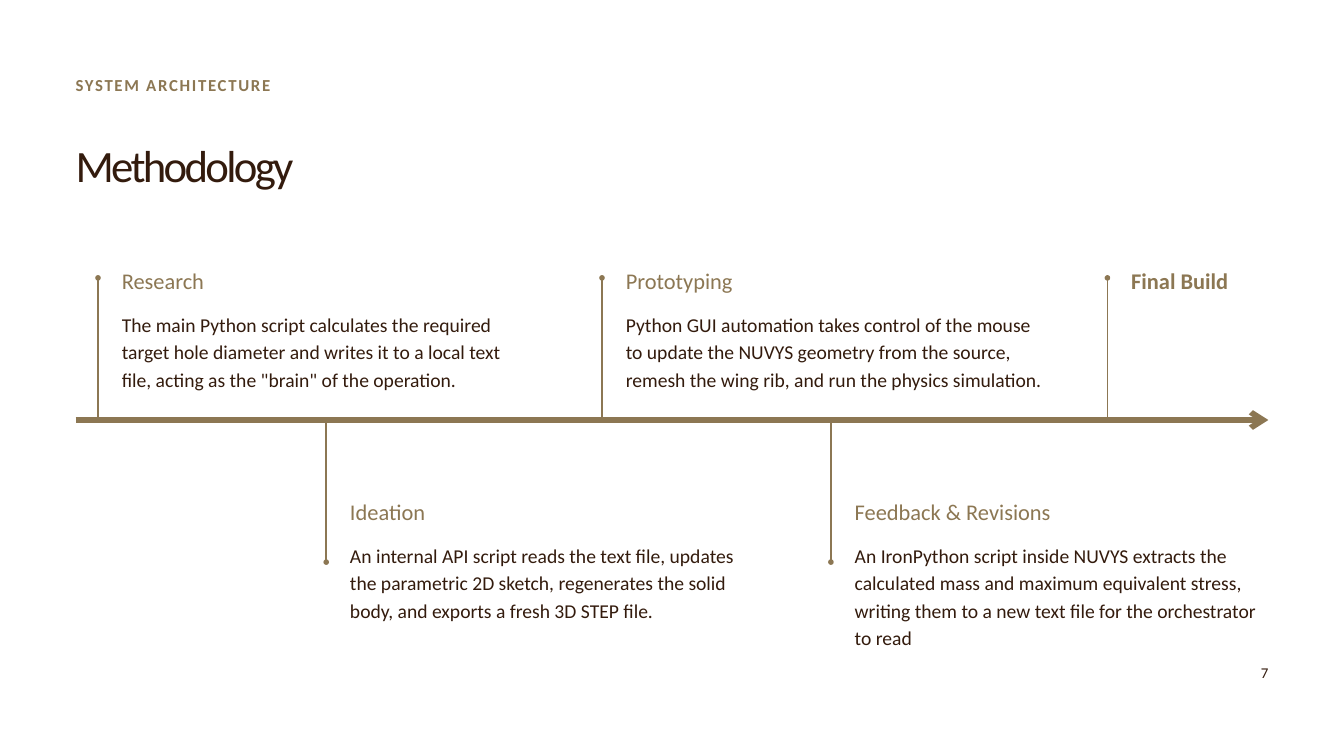
"""Build the methodology timeline slide."""
from lxml import etree
from pptx import Presentation
from pptx.dml.color import RGBColor
from pptx.enum.shapes import MSO_CONNECTOR
from pptx.enum.text import MSO_ANCHOR, MSO_AUTO_SIZE, PP_ALIGN
from pptx.oxml.ns import qn
from pptx.util import Pt

PX = 9525
BROWN = RGBColor(0x33, 0x1B, 0x0D)
GOLD = RGBColor(0x8C, 0x77, 0x53)
WHITE = RGBColor(0xFF, 0xFF, 0xFF)
FONT = "Calibri"
STRAIGHT = MSO_CONNECTOR.STRAIGHT
TOP = MSO_ANCHOR.TOP
GROW = MSO_AUTO_SIZE.SHAPE_TO_FIT_TEXT
LEFT, RIGHT, JUSTIFY = PP_ALIGN.LEFT, PP_ALIGN.RIGHT, PP_ALIGN.JUSTIFY

MARGIN, RIGHT_EDGE, AXIS_Y = 108, 1812, 600
STEM, TEXT_GAP, BODY_DROP = 203, 34, 66
UPPER_Y, LOWER_Y = 375, 705

STAGES = [
    (140, True, "Research", 312, 569,
     "The main Python script calculates the required target hole diameter and "
     "writes it to a local text file, acting as the \"brain\" of the operation."),
    (466, False, "Ideation", 312, 571,
     "An internal API script reads the text file, updates the parametric 2D "
     "sketch, regenerates the solid body, and exports a fresh 3D STEP file."),
    (860, True, "Prototyping", 312, 599,
     "Python GUI automation takes control of the mouse to update the NUVYS "
     "geometry from the source, remesh the wing rib, and run the physics simulation."),
    (1187, False, "Feedback & Revisions", 396, 591,
     "An IronPython script inside NUVYS extracts the calculated mass and maximum "
     "equivalent stress, writing them to a new text file for the orchestrator to read"),
    (1582, True, "Final Build", 177, 0, ""),
]


def write(frame, text, size, color, leading, align=LEFT, bold=False, spacing=0):
    """Fill a text frame with one formatted paragraph."""
    frame.margin_left = frame.margin_top = frame.margin_right = frame.margin_bottom = 0
    frame.word_wrap = True
    frame.vertical_anchor = TOP
    frame.auto_size = GROW
    paragraph = frame.paragraphs[0]
    paragraph.alignment = align
    paragraph.line_spacing = Pt(leading)
    run = paragraph.add_run()
    run.text = text
    run.font.name = FONT
    run.font.size = Pt(size)
    run.font.bold = bold
    run.font.color.rgb = color
    if spacing:
        run.font._element.set("spc", str(spacing))


class Timeline:
    """Hold the slide and the timeline's visual style."""

    def __init__(self, slide):
        self.slide = slide
        self.accent = GOLD
        self.ink = BROWN
        background = slide.background.fill
        background.solid()
        background.fore_color.rgb = WHITE

    def title(self, text, x, y, width, height):
        """Place the title in its placeholder."""
        heading = self.slide.shapes.title
        heading.left, heading.top = x * PX, y * PX
        heading.width, heading.height = width * PX, height * PX
        write(heading.text_frame, text, 48, self.ink, 48, spacing=-290)

    def text(self, text, x, y, width, height, **style):
        """Add a text box."""
        box = self.slide.shapes.add_textbox(x * PX, y * PX, width * PX, height * PX)
        write(box.text_frame, text, **style)

    def line(self, start, end, weight, ending):
        """Add a straight line with a decorated end."""
        points = [value * PX for value in (*start, *end)]
        connector = self.slide.shapes.add_connector(STRAIGHT, *points)
        connector.line.color.rgb = self.accent
        connector.line.width = Pt(weight)
        outline = connector.line._get_or_add_ln()
        etree.SubElement(outline, qn("a:tailEnd"), type=ending)
        etree.SubElement(connector._element.spPr, qn("a:effectLst"))

    def stage(self, x, above, name, name_width, body_width, body):
        """Add a stem with its heading and description."""
        tip = AXIS_Y - STEM if above else AXIS_Y + STEM
        top = UPPER_Y if above else LOWER_Y
        self.line((x, AXIS_Y), (x, tip), 1.5, "oval")
        self.text(name, x + TEXT_GAP, top, name_width, 42, size=24,
                  color=self.accent, leading=33.6, bold=not body)
        if body:
            self.text(body, x + TEXT_GAP, top + BODY_DROP, body_width, 156,
                      size=21, color=self.ink, leading=29.4)


def main():
    """Build and save the slide."""
    deck = Presentation()
    deck.slide_width, deck.slide_height = 1920 * PX, 1080 * PX
    timeline = Timeline(deck.slides.add_slide(deck.slide_layouts[5]))
    timeline.text("SYSTEM ARCHITECTURE", MARGIN, 111, 771, 26, size=18, color=GOLD,
                  leading=18, align=JUSTIFY, bold=True, spacing=180)
    timeline.title("Methodology", MARGIN, 209, 852, 67)
    timeline.line((MARGIN, AXIS_Y), (RIGHT_EDGE, AXIS_Y), 6, "arrow")
    for stage in STAGES:
        timeline.stage(*stage)
    timeline.text("7", 1333, 944, 479, 29, size=16, color=BROWN, leading=22.4, align=RIGHT)
    deck.save("out.pptx")


if __name__ == "__main__":
    main()
